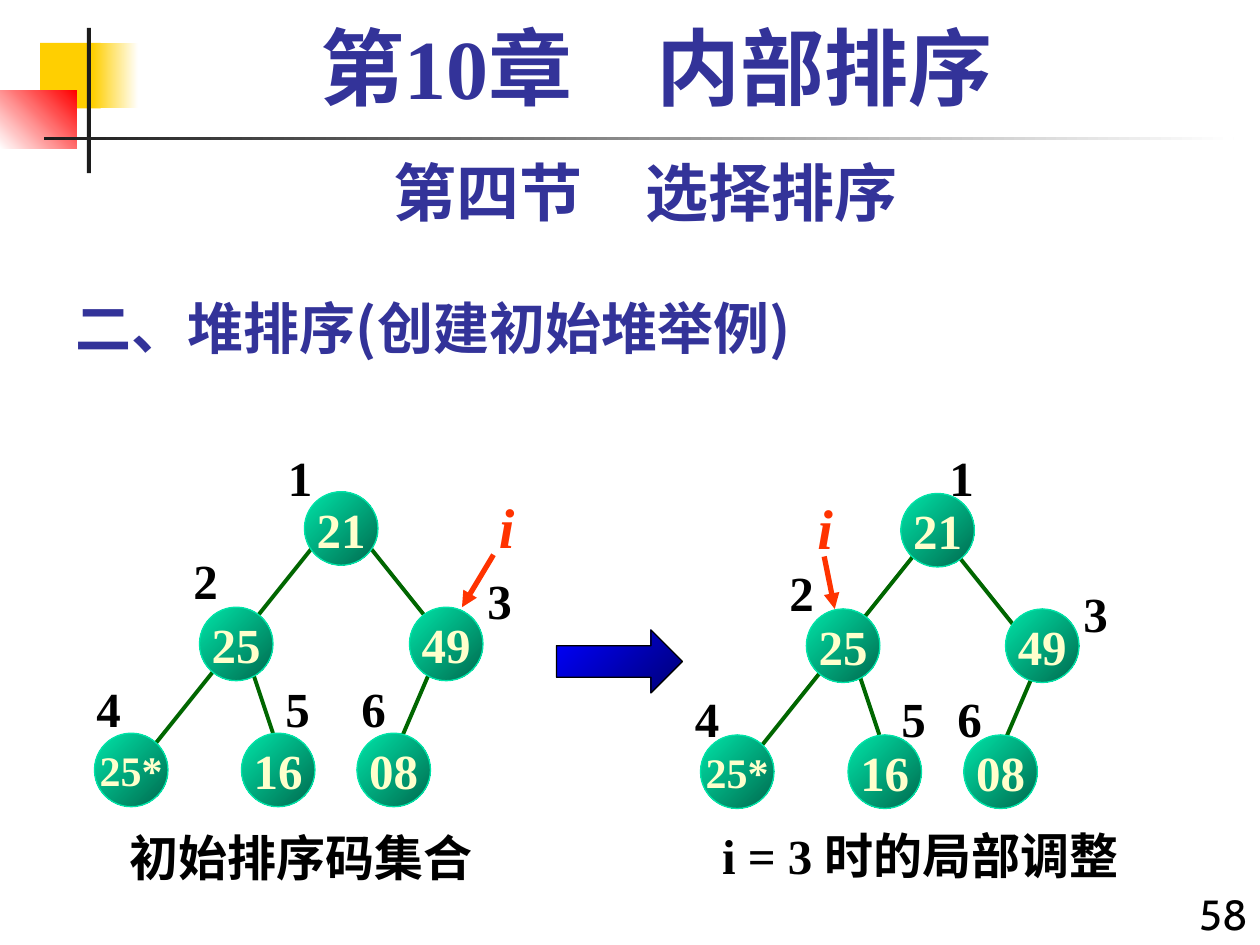
"""Build a slide that shows two steps of creating an initial heap."""
import pptx
import pptx.dml.color
import pptx.enum.dml
import pptx.enum.shapes
import pptx.enum.text
import pptx.oxml
import pptx.oxml.ns
import pptx.util

Pt = pptx.util.Pt
SHAPE = pptx.enum.shapes.MSO_SHAPE
ALIGN = pptx.enum.text.PP_ALIGN
ANCHOR = pptx.enum.text.MSO_ANCHOR
COLORS = {
    "heading": "333399", "text": "000000", "yellow": "FFCF01", "red": "FF0000",
    "white": "FFFFFF", "dark": "1C1C1C", "edge": "006600", "node": "00E4A8",
    "node_dark": "006A4E", "key": "FFFFCC", "pointer": "FF3300",
    "arrow": "0000FF", "arrow_dark": "000076",
}
SERIF, SANS, CJK = "Times New Roman", "Cabin", "Noto Sans CJK SC"
NODE_SIZE = 42

DECORATION = [
    ((23, 24.5, 34.5, 37.5), ("yellow",)),
    ((53, 24.5, 26, 37.5), ("yellow", "white", 0)),
    ((0, 52, 44, 33), ("white", "red", 315)),
    ((49.7, 16, 2.3, 83), ("dark",)),
    ((25, 78, 680, 2.3), ("dark", "white", 0)),
]
EDGES = [(246, 383, 228, 425), (144, 383, 156, 419),
         (210, 311, 258, 371), (180, 311, 84, 431)]
KEYS = ["21", "25", "25*", "49", "16", "08"]
ROWS = [281, 347, 419, 347, 419, 419]
TREES = [
    {
        "drop": 0,
        "edge_shifts": [0, 0, 0, 0],
        "node_lefts": [174, 114, 54, 234, 138, 204],
        "indexes": [(157.5, 252), (103.5, 311), (271.5, 322.5),
                    (48, 384), (156, 384), (199.5, 384)],
        "pointer": (282, 317, 264, 347),
        "pointer_label": (278, 278),
        "caption": ("初始排序码集合", 67, 469.5, 210),
    },
    {
        "drop": 1,
        "edge_shifts": [345, 346.5, 333, 346.5],
        "node_lefts": [514.8, 460.8, 400.3, 574.6, 484.6, 550.8],
        "indexes": [(535.5, 252), (444, 318), (612, 330),
                    (390, 390), (508, 390), (540, 390)],
        "pointer": (471, 318, 477, 348),
        "pointer_label": (460, 278.5),
        "caption": ("i = 3 时的局部调整", 405.5, 468, 248),
    },
]


def rgb(name):
    """Return the named colour."""
    return pptx.dml.color.RGBColor.from_string(COLORS[name])


def write(tf, text, size=28, font=SERIF, color="text", bold=True, italic=False,
          align=ALIGN.LEFT, anchor=ANCHOR.TOP, wrap=False, spacing=None):
    """Write one formatted paragraph in a text frame."""
    tf.word_wrap = wrap
    tf.auto_size = pptx.enum.text.MSO_AUTO_SIZE.NONE
    tf.vertical_anchor = anchor
    p = tf.paragraphs[0]
    p.alignment = align
    p.line_spacing = spacing
    r = p.add_run()
    r.text = text
    r.font.size, r.font.name = Pt(size), font
    r.font.bold, r.font.italic = bold, italic
    r.font.color.rgb = rgb(color)
    ea = pptx.oxml.parse_xml(f'<a:ea {pptx.oxml.ns.nsdecls("a")} typeface="{CJK}"/>')
    r.font._element.find(pptx.oxml.ns.qn("a:latin")).addnext(ea)


class SlideBuilder:
    """Hold the slide and its drawing style."""

    def __init__(self, prs):
        """Add a title-only slide."""
        self.s = prs.slides.add_slide(prs.slide_layouts[5])

    def title(self, text, box, **style):
        """Place and format the title."""
        sp = self.s.shapes.title
        sp.left, sp.top, sp.width, sp.height = map(Pt, box)
        write(sp.text_frame, text, **style)

    def text(self, text, box, **style):
        """Add a text box."""
        sp = self.s.shapes.add_textbox(*map(Pt, box))
        write(sp.text_frame, text, **style)

    def shape(self, kind, box, fill, line=None):
        """Add a shape with a plain fill or a two-colour gradient."""
        sp = self.s.shapes.add_shape(kind, *map(Pt, box))
        sp.shadow.inherit = False
        if len(fill) == 1:
            sp.fill.solid()
            sp.fill.fore_color.rgb = rgb(fill[0])
        else:
            sp.fill.gradient()
            sp.fill.gradient_angle = (360 - fill[2]) % 360
            for stop, name, position in zip(sp.fill.gradient_stops, fill, (0, 1)):
                stop.color.rgb = rgb(name)
                stop.position = position
        if line:
            sp.line.color.rgb = rgb(line)
            sp.line.width = Pt(0.75)
        else:
            sp.line.fill.background()
        return sp

    def line(self, ends, color, width, arrow=False):
        """Add a straight line, with an arrowhead if asked."""
        kind = pptx.enum.shapes.MSO_CONNECTOR.STRAIGHT
        sp = self.s.shapes.add_connector(kind, *map(Pt, ends))
        sp.line.color.rgb = rgb(color)
        sp.line.width = Pt(width)
        ns = pptx.oxml.ns.nsdecls("a")
        if arrow:
            sp.line._get_or_add_ln().append(
                pptx.oxml.parse_xml(f'<a:tailEnd {ns} type="triangle"/>'))
        sp._element.spPr.append(pptx.oxml.parse_xml(f"<a:effectLst {ns}/>"))

    def node(self, key, left, top):
        """Add a tree node with its key."""
        sp = self.shape(SHAPE.OVAL, (left, top, NODE_SIZE, NODE_SIZE),
                        ("node", "node_dark", 45), "node")
        write(sp.text_frame, key, size=24 if len(key) > 2 else 28, color="key",
              align=ALIGN.CENTER, anchor=ANCHOR.MIDDLE)

    def tree(self, tree):
        """Draw a tree with its indexes, pointer and caption."""
        drop = tree["drop"]
        for (x1, y1, x2, y2), shift in zip(EDGES, tree["edge_shifts"]):
            self.line((x1 + shift, y1 + drop, x2 + shift, y2 + drop), "edge", 2.25)
        for key, left, top in zip(KEYS, tree["node_lefts"], ROWS):
            self.node(key, left, top + drop)
        for index, (left, top) in enumerate(tree["indexes"], 1):
            self.text(str(index), (left, top, 28, 41))
        self.line(tree["pointer"], "pointer", 3, arrow=True)
        self.text("i", (*tree["pointer_label"], 23, 46), size=32,
                  color="pointer", italic=True)
        caption, left, top, width = tree["caption"]
        self.text(caption, (left, top, width, 41))


def main():
    """Build and save the slide."""
    prs = pptx.Presentation()
    prs.slide_width, prs.slide_height = Pt(720), Pt(540)
    slide = SlideBuilder(prs)
    for box, fill in DECORATION:
        slide.shape(SHAPE.RECTANGLE, box, fill)
    slide.title("二、堆排序(创建初始堆举例)", (36, 156, 450, 54), size=32,
                font=CJK, color="heading", anchor=ANCHOR.BOTTOM, wrap=True)
    slide.text("58", (672, 504, 48, 42), size=24, font=SANS, bold=False,
               align=ALIGN.RIGHT, wrap=True)
    slide.text("第四节　选择排序", (36, 84, 666, 50), size=36, font=SANS,
               color="heading", align=ALIGN.CENTER, wrap=True)
    slide.text("第10章　内部排序", (48, 12, 654, 60), size=48, color="heading",
               align=ALIGN.CENTER, wrap=True, spacing=0.9)
    for tree in TREES:
        slide.tree(tree)
    slide.shape(SHAPE.RIGHT_ARROW, (318, 360, 72, 36),
                ("arrow", "arrow_dark", 45), "text")
    prs.save("out.pptx")


if __name__ == "__main__":
    main()
